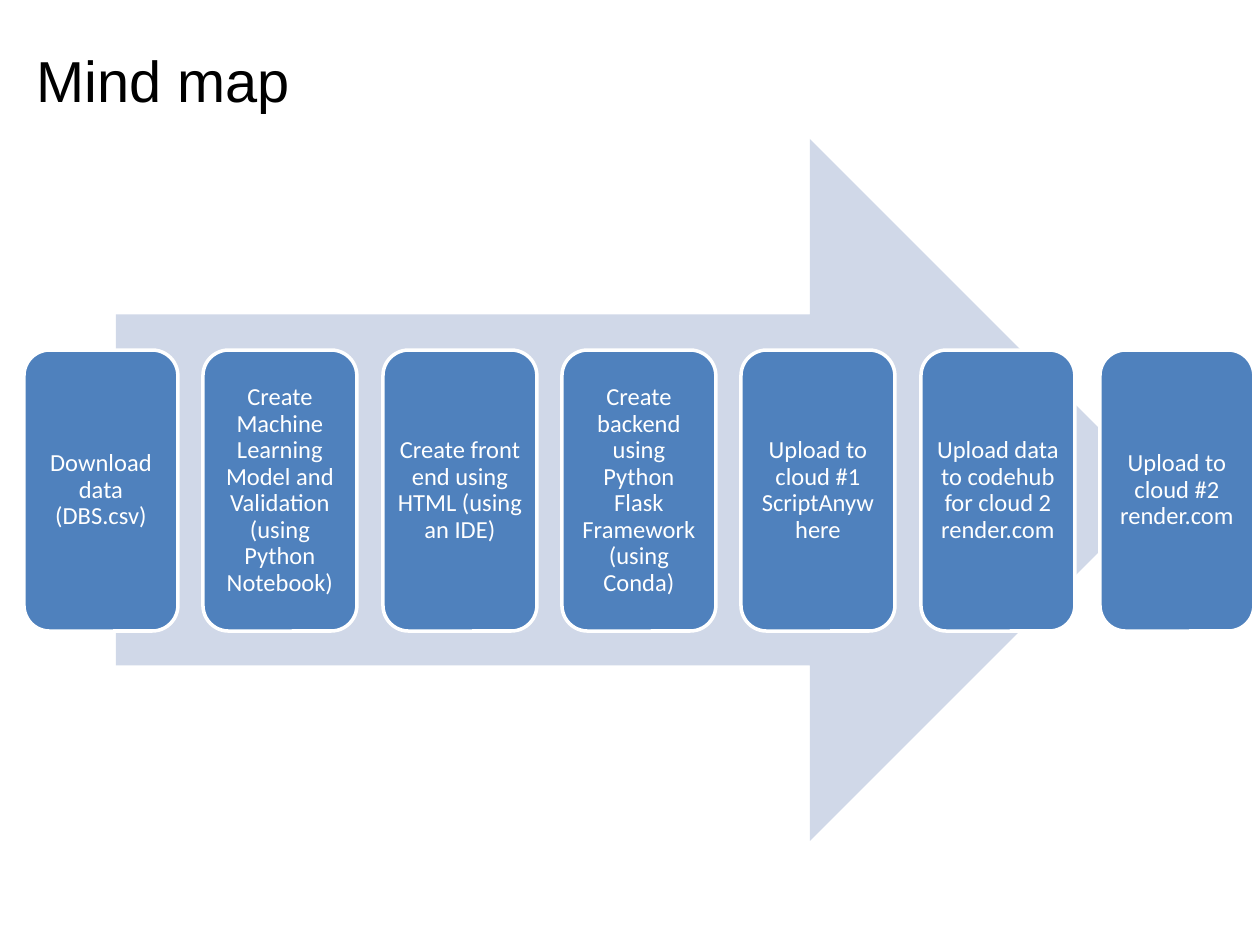
from pptx import Presentation
from pptx.dml.color import RGBColor
from pptx.enum.shapes import MSO_SHAPE
from pptx.enum.text import MSO_ANCHOR, PP_ALIGN
from pptx.util import Emu, Pt

RIGHT_ARROW = MSO_SHAPE.RIGHT_ARROW
ROUNDED = MSO_SHAPE.ROUNDED_RECTANGLE
MIDDLE = MSO_ANCHOR.MIDDLE
CENTER = PP_ALIGN.CENTER

BLACK = RGBColor(0x00, 0x00, 0x00)
WHITE = RGBColor(0xFF, 0xFF, 0xFF)
STEP_BLUE = RGBColor(0x4F, 0x81, 0xBD)
ARROW_BLUE = RGBColor(0xD0, 0xD8, 0xE8)

EMU_PER_PX = 914400 / 126

STEPS = [
    "Download data (DBS.csv)",
    "Create Machine Learning Model and Validation (using Python Notebook)",
    "Create front end using HTML (using an IDE)",
    "Create backend using Python Flask Framework (using Conda)",
    "Upload to cloud #1 ScriptAnywhere",
    "Upload data to codehub for cloud 2 render.com",
    "Upload to cloud #2 render.com",
]
FIRST_LEFT, LAST_LEFT = 24, 1100
STEP_TOP, STEP_WIDTH, STEP_HEIGHT = 350, 154, 281
STEP_INSET = 7


def px(value):
    return Emu(round(value * EMU_PER_PX))


def style_font(paragraph, name, size, color):
    font = paragraph.runs[0].font
    font.name = name
    font.size = Pt(size)
    font.color.rgb = color


def add_title(slide, text):
    title = slide.shapes.add_textbox(px(24), px(0), px(1134), px(158))
    frame = title.text_frame
    frame.word_wrap = True
    frame.vertical_anchor = MIDDLE
    frame.text = text
    style_font(frame.paragraphs[0], "Arial", 33, BLACK)


def add_filled_shape(slide, kind, left, top, width, height, fill):
    shape = slide.shapes.add_shape(kind, px(left), px(top), px(width), px(height))
    shape.shadow.inherit = False
    shape.fill.solid()
    shape.fill.fore_color.rgb = fill
    return shape


def add_arrow(slide):
    arrow = add_filled_shape(slide, RIGHT_ARROW, 116, 139, 1045, 702, ARROW_BLUE)
    arrow.line.fill.background()


def add_step(slide, left, text):
    step = add_filled_shape(
        slide, ROUNDED, left, STEP_TOP, STEP_WIDTH, STEP_HEIGHT, STEP_BLUE)
    step.line.color.rgb = WHITE
    step.line.width = Pt(2)
    frame = step.text_frame
    frame.word_wrap = True
    frame.vertical_anchor = MIDDLE
    frame.margin_left = frame.margin_right = px(STEP_INSET)
    frame.margin_top = frame.margin_bottom = px(STEP_INSET)
    frame.text = text
    label = frame.paragraphs[0]
    label.alignment = CENTER
    label.line_spacing = 0.9
    style_font(label, "Calibri", 14, WHITE)


def main():
    deck = Presentation()
    deck.slide_width, deck.slide_height = px(1260), px(945)
    slide = deck.slides.add_slide(deck.slide_layouts[6])

    add_title(slide, "Mind map")

    # Process steps, evenly spread over the arrow
    add_arrow(slide)
    pitch = (LAST_LEFT - FIRST_LEFT) / (len(STEPS) - 1)
    for index, text in enumerate(STEPS):
        add_step(slide, round(FIRST_LEFT + index * pitch), text)

    deck.save("out.pptx")


if __name__ == "__main__":
    main()
